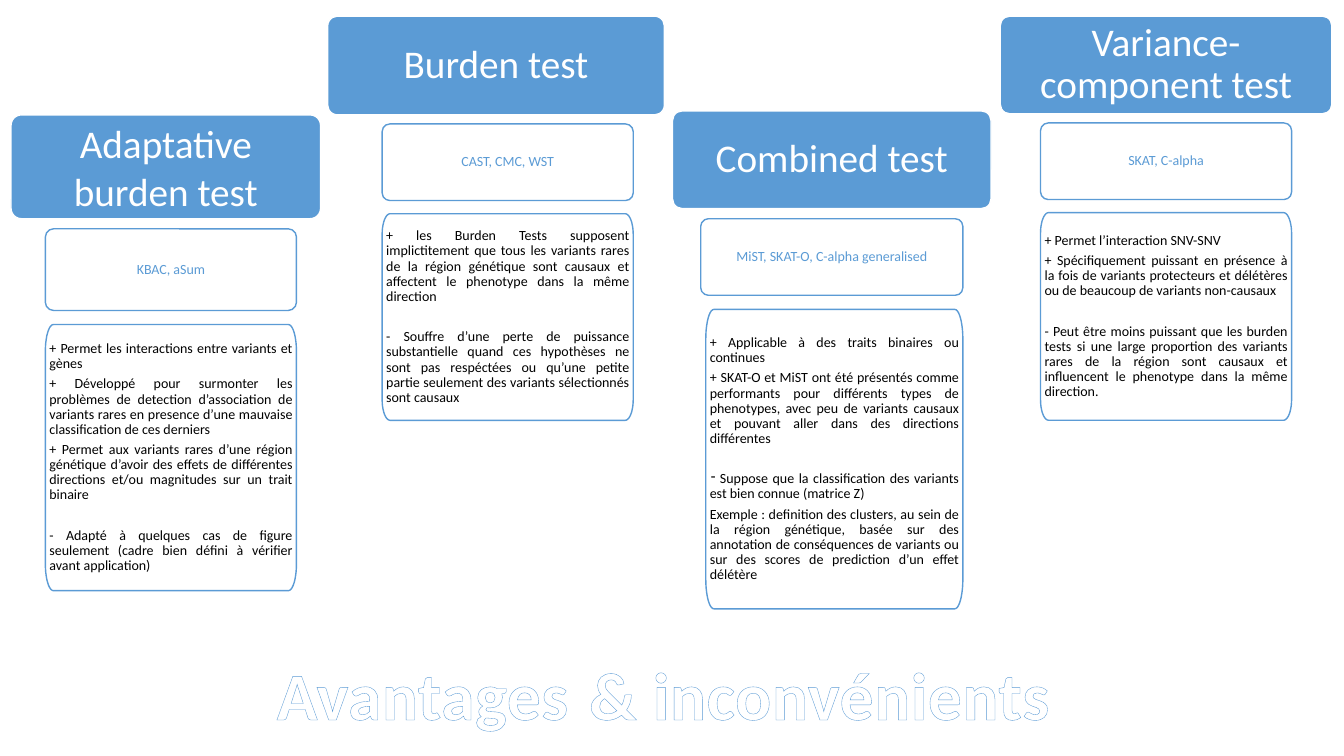
import math

from lxml import etree
from pptx import Presentation
from pptx import util as u
from pptx.dml.color import RGBColor
from pptx.enum import shapes, text
from pptx.oxml import ns

PX = 9144  # EMU per px, 100 px to the inch
FONT = "Calibri"
BLUE = RGBColor(0x5B, 0x9B, 0xD5)
WHITE = RGBColor(0xFF, 0xFF, 0xFF)
BLACK = RGBColor(0, 0, 0)
GAP = ""  # widens the space above the next paragraph
DASH = "•"  # marks a paragraph that has a dash bullet

# header, header box, header line spacing, methods, methods box, points, points box
COLUMNS = [
    ("Adaptative burden test", (11, 114, 307, 103), 1.0,
     "KBAC, aSum", (45, 227, 249, 81),
     ["+ Permet les interactions entre variants et gènes",
      "+ Développé pour surmonter les problèmes de detection d’association de variants "
      "rares en presence d’une mauvaise classification de ces derniers",
      "+ Permet aux variants rares d’une région génétique d’avoir des effets de "
      "différentes directions et/ou magnitudes sur un trait binaire",
      GAP,
      "- Adapté à quelques cas de figure seulement (cadre bien défini à vérifier avant "
      "application)"],
     (45, 322, 249, 264)),
    ("Burden test", (325, 16, 334, 98), 0.9,
     "CAST, CMC, WST", (379, 123, 249, 76),
     ["+ les Burden Tests supposent implictitement que tous les variants rares de la "
      "région génétique sont causaux et affectent le phenotype dans la même direction",
      GAP,
      "- Souffre d’une perte de puissance substantielle quand ces hypothèses ne sont pas "
      "respéctées ou qu’une petite partie seulement des variants sélectionnés sont causaux"],
     (379, 212, 249, 205)),
    ("Combined test", (667, 110, 316, 97), 0.9,
     "MiST, SKAT-O, C-alpha generalised", (695, 217, 260, 76),
     ["+ Applicable à des traits binaires ou continues",
      "+ SKAT-O et MiST ont été présentés comme performants pour différents types de "
      "phenotypes, avec peu de variants causaux et pouvant aller dans des directions "
      "différentes",
      GAP,
      DASH + " Suppose que la classification des variants est bien connue (matrice Z)",
      "Exemple : definition des clusters, au sein de la région génétique, basée sur des "
      "annotation de conséquences de variants ou sur des scores de prediction d’un effet "
      "délétère"],
     (700, 307, 255, 297)),
    ("Variance-component test", (992, 16, 329, 97), 0.9,
     "SKAT, C-alpha", (1032, 122, 249, 76),
     ["+ Permet l’interaction SNV-SNV",
      "+ Spécifiquement puissant en présence à la fois de variants protecteurs et "
      "délétères ou de beaucoup de variants non-causaux",
      GAP,
      "- Peut être moins puissant que les burden tests si une large proportion des "
      "variants rares de la région sont causaux et influencent le phenotype dans la même "
      "direction."],
     (1032, 211, 249, 206)),
]


def px(*lengths):
    return [u.Emu(length * PX) for length in lengths]


def set_font(r, size, color):
    r.font.name = FONT
    r.font.size = u.Pt(size)
    r.font.color.rgb = color


def paint(sp, fill, line):
    sp.shadow.inherit = False
    sp.fill.solid()
    sp.fill.fore_color.rgb = fill
    sp.line.color.rgb = line
    sp.line.width = u.Pt(1)


def prepare_frame(sp, inset_x, inset_y):
    tf = sp.text_frame
    tf.word_wrap = True
    tf.vertical_anchor = text.MSO_ANCHOR.MIDDLE
    tf.margin_left = tf.margin_right = u.Emu(inset_x * PX)
    tf.margin_top = tf.margin_bottom = u.Emu(inset_y * PX)
    return tf


def add_label(s, words, box, fill, line, size, color, insets, spacing=0.9):
    """Add a rounded rectangle with one centred paragraph."""
    sp = s.shapes.add_shape(shapes.MSO_SHAPE.ROUNDED_RECTANGLE, *px(*box))
    sp.adjustments[0] = 0.1
    paint(sp, fill, line)
    p = prepare_frame(sp, *insets).paragraphs[0]
    p.text = words
    p.alignment = text.PP_ALIGN.CENTER
    p.line_spacing = spacing
    set_font(p.runs[0], size, color)


def add_tall_corner_box(s, box, steps=10):
    """Add a box whose corners are quarter ellipses a tenth of its height tall."""
    left, top, width, height = px(*box)
    rx, ry = 8 * PX, height / 10
    centres = [(left + width - rx, top + height - ry), (left + rx, top + height - ry),
               (left + rx, top + ry), (left + width - rx, top + ry)]
    points = []
    for quarter, (cx, cy) in enumerate(centres):
        for step in range(steps + 1):
            angle = (quarter + step / steps) * math.pi / 2
            points.append((round(cx + rx * math.cos(angle)),
                           round(cy + ry * math.sin(angle))))
    builder = s.shapes.build_freeform(*points[0], scale=1.0)
    builder.add_line_segments(points[1:], close=True)
    return builder.convert_to_shape()


def add_dash_bullet(p):
    pPr = p._p.get_or_add_pPr()
    pPr.set("marL", "0")
    pPr.set("indent", str(PX))
    etree.SubElement(pPr, ns.qn("a:buChar")).set("char", "-")


def add_points(s, points, box):
    sp = add_tall_corner_box(s, box)
    paint(sp, WHITE, BLUE)
    tf = prepare_frame(sp, 4, 4)
    p, space = tf.paragraphs[0], 0
    for point in points:
        if point == GAP:
            space = 18
            continue
        if space:
            p = tf.add_paragraph()
        if point.startswith(DASH):
            add_dash_bullet(p)
        p.text = point.removeprefix(DASH)
        p.alignment = text.PP_ALIGN.JUSTIFY
        p.line_spacing = 0.9
        p.space_before = u.Pt(space)
        set_font(p.runs[0], 10, BLACK)
        space = 3.5


def add_outline_and_shadow(r):
    rPr = r._r.get_or_add_rPr()
    rPr.set("spc", "50")
    ln = etree.Element(ns.qn("a:ln"), w=str(u.Pt(0.75)))
    fill = etree.SubElement(ln, ns.qn("a:solidFill"))
    etree.SubElement(fill, ns.qn("a:srgbClr"), val=str(BLUE))
    rPr.insert(0, ln)
    effects = etree.Element(ns.qn("a:effectLst"))
    shadow = etree.SubElement(effects, ns.qn("a:outerShdw"), blurRad="38100",
                              dist="22860", dir="2700000", algn="tl", rotWithShape="0")
    etree.SubElement(shadow, ns.qn("a:srgbClr"), val=str(BLUE))
    rPr.find(ns.qn("a:solidFill")).addnext(effects)


def add_title(s):
    tf = s.shapes.add_textbox(*px(10, 626, 1312, 111)).text_frame
    tf.word_wrap = True
    p = tf.paragraphs[0]
    p.alignment = text.PP_ALIGN.CENTER
    for words, size in (("Avantages", 48), (" ", 60), ("& inconvénients ", 48)):
        r = p.add_run()
        r.text = words
        set_font(r, size, WHITE)
        r.font.bold = True
        add_outline_and_shadow(r)


def main():
    prs = Presentation()
    prs.slide_width, prs.slide_height = px(1333, 750)
    s = prs.slides.add_slide(prs.slide_layouts[6])
    for header, header_box, spacing, methods, methods_box, points, points_box in COLUMNS:
        add_label(s, header, header_box, BLUE, WHITE, 28, WHITE, (9, 7), spacing)
        add_label(s, methods, methods_box, WHITE, BLUE, 10, BLUE, (4, 4))
        add_points(s, points, points_box)
    add_title(s)
    prs.save("out.pptx")


if __name__ == "__main__":
    main()
